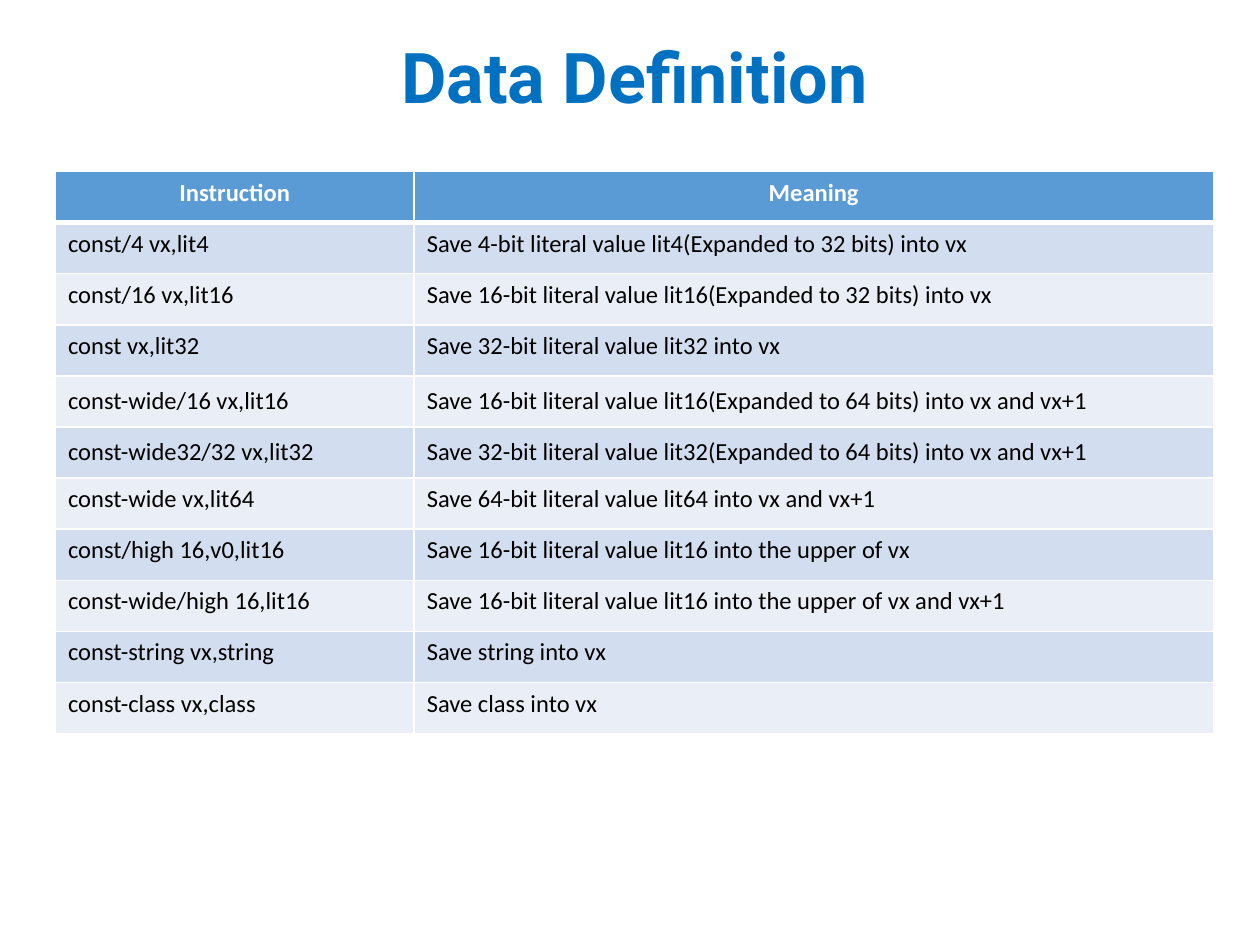
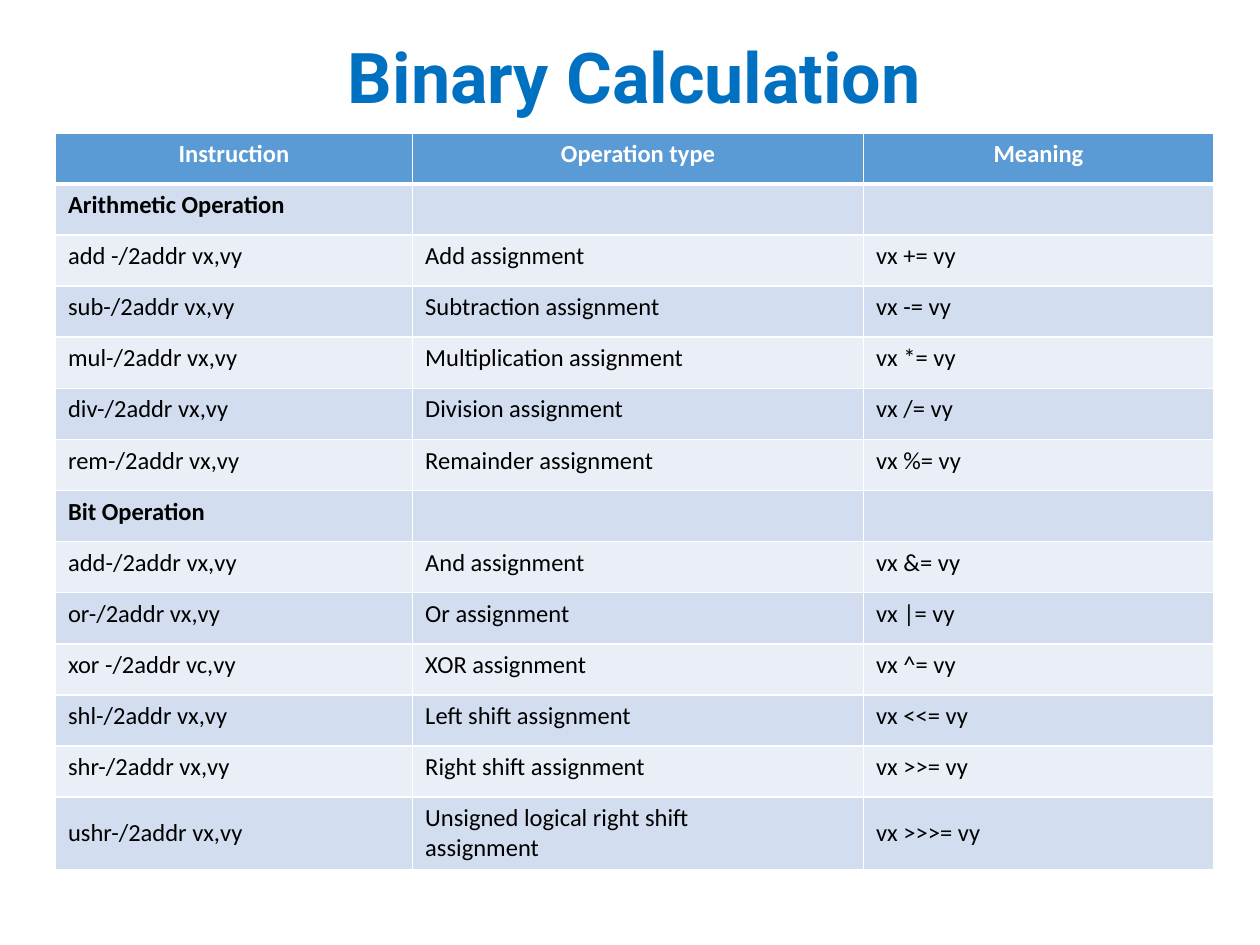
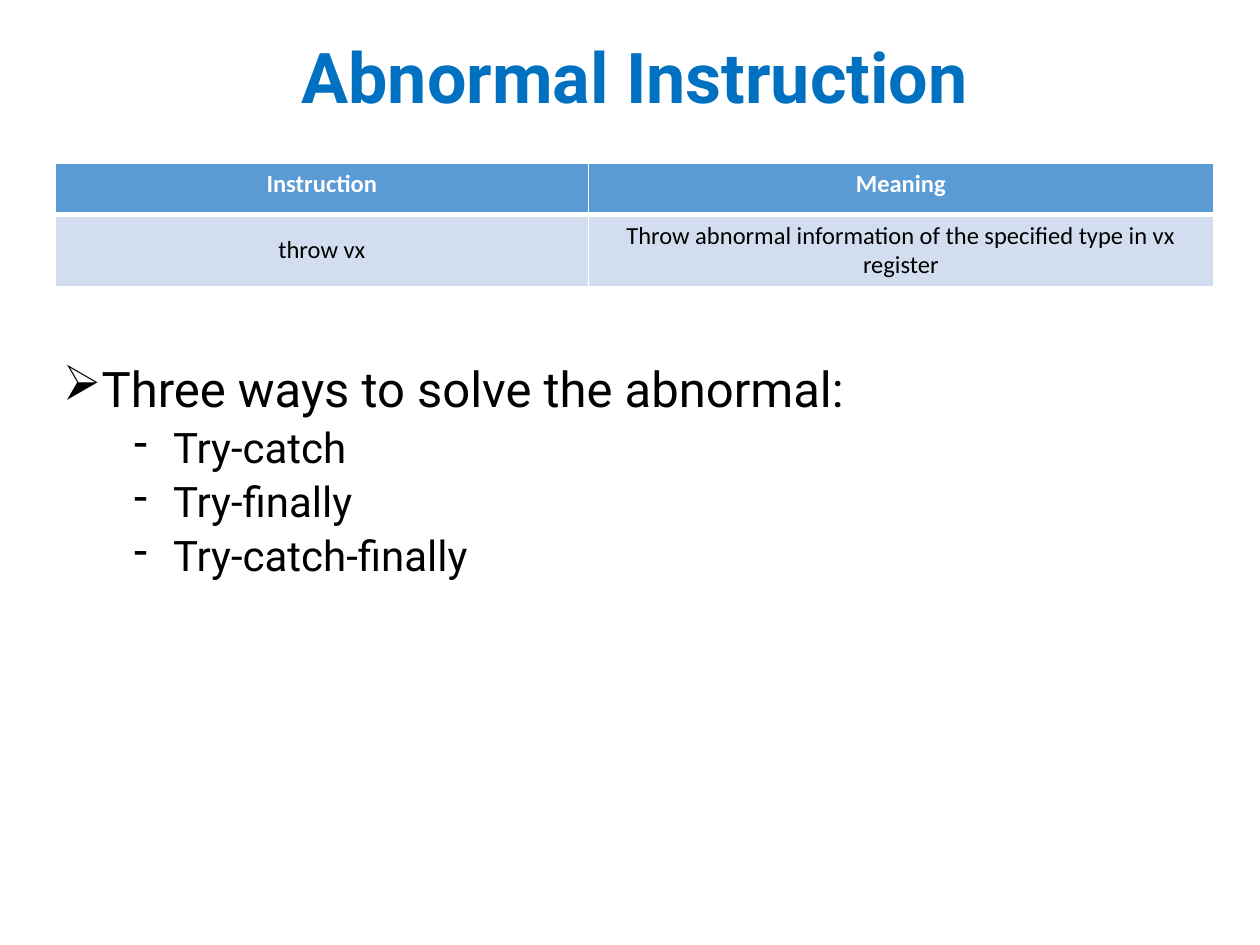
import dataclasses

import pptx
import pptx.dml.color
import pptx.enum.text
import pptx.oxml
import pptx.oxml.ns
import pptx.util

Pt = pptx.util.Pt
RGB = pptx.dml.color.RGBColor.from_string
ALIGN = pptx.enum.text.PP_ALIGN
ANCHOR = pptx.enum.text.MSO_ANCHOR


@dataclasses.dataclass(frozen=True)
class Theme:
    title_color: str = "0070C0"
    header_fill: str = "5B9BD5"
    band_fills: tuple = ("EAEFF7", "D2DEEF")
    light: str = "FFFFFF"
    dark: str = "000000"
    heading_font: str = "Roboto"
    table_font: str = "Calibri"
    title_size: int = 40
    table_size: int = 14
    bullet_size: int = 28
    sub_bullet_size: int = 24
    left: float = 31.7
    width: float = 661.7
    row_height: float = 29.2


theme = Theme()
deck = pptx.Presentation()
deck.slide_width, deck.slide_height = Pt(720), Pt(540)


def add_titled_slide(heading):
    slide = deck.slides.add_slide(deck.slide_layouts[5])
    title = slide.shapes.title
    title.left, title.top = Pt(theme.left), Pt(17.3)
    title.width, title.height = Pt(theme.width), Pt(58.3)
    frame = title.text_frame
    frame.auto_size = pptx.enum.text.MSO_AUTO_SIZE.NONE
    frame.vertical_anchor = ANCHOR.MIDDLE
    line = frame.paragraphs[0]
    line.alignment, line.line_spacing = ALIGN.CENTER, 0.9
    run = line.add_run()
    run.text = heading
    run.font.name, run.font.size = theme.heading_font, Pt(theme.title_size)
    run.font.bold = True
    run.font.color.rgb = RGB(theme.title_color)
    return slide


def add_instruction_table(slide, top, first_widths, rows, middle_rows=(),
                          section_rows=(), body_align=ALIGN.LEFT):
    widths = [*first_widths, theme.width - sum(first_widths)]
    table = slide.shapes.add_table(
        len(rows), len(widths), Pt(theme.left), Pt(top),
        Pt(theme.width), Pt(theme.row_height * len(rows))).table
    table.horz_banding = False
    for column, width in zip(table.columns, widths):
        column.width = Pt(width)
    for r, texts in enumerate(rows):
        table.rows[r].height = Pt(theme.row_height)
        header = r == 0
        # The rule under the header is thicker than the other borders
        borders = {"L": 1, "R": 1, "T": 3 if r == 1 else 1, "B": 3 if header else 1}
        for c, text in enumerate(texts):
            cell = table.cell(r, c)
            properties = cell._tc.get_or_add_tcPr()
            for side, points in borders.items():
                properties.append(pptx.oxml.parse_xml(
                    f'<a:ln{side} {pptx.oxml.ns.nsdecls("a")} w="{Pt(points)}"><a:solidFill>'
                    f'<a:srgbClr val="{theme.light}"/></a:solidFill></a:ln{side}>'))
            cell.fill.solid()
            cell.fill.fore_color.rgb = RGB(theme.header_fill if header else theme.band_fills[r % 2])
            if r in middle_rows:
                cell.vertical_anchor = ANCHOR.MIDDLE
            if not text:
                continue
            for i, part in enumerate(text.split("\n")):
                frame = cell.text_frame
                line = frame.add_paragraph() if i else frame.paragraphs[0]
                line.alignment = ALIGN.CENTER if header else body_align
                run = line.add_run()
                run.text = part
                run.font.name, run.font.size = theme.table_font, Pt(theme.table_size)
                run.font.bold = header or r in section_rows
                run.font.color.rgb = RGB(theme.light if header else theme.dark)


# Slide 1: data definition
data_slide = add_titled_slide("Data Definition")
add_instruction_table(data_slide, 98, [205], [
    ("Instruction", "Meaning"),
    ("const/4 vx,lit4", "Save 4-bit literal value lit4(Expanded to 32 bits) into vx"),
    ("const/16 vx,lit16", "Save 16-bit literal value lit16(Expanded to 32 bits) into vx"),
    ("const vx,lit32", "Save 32-bit literal value lit32 into vx"),
    ("const-wide/16 vx,lit16", "Save 16-bit literal value lit16(Expanded to 64 bits) into vx and vx+1"),
    ("const-wide32/32 vx,lit32", "Save 32-bit literal value lit32(Expanded to 64 bits) into vx and vx+1"),
    ("const-wide vx,lit64", "Save 64-bit literal value lit64 into vx and vx+1"),
    ("const/high 16,v0,lit16", "Save 16-bit literal value lit16 into the upper of vx"),
    ("const-wide/high 16,lit16", "Save 16-bit literal value lit16 into the upper of vx and vx+1"),
    ("const-string vx,string", "Save string into vx"),
    ("const-class vx,class", "Save class into vx"),
], middle_rows=(4, 5))

# Slide 2: binary calculation
binary_slide = add_titled_slide("Binary Calculation")
add_instruction_table(binary_slide, 75.9, [204.1, 257.7], [
    ("Instruction", "Operation type", "Meaning"),
    ("Arithmetic Operation", "", ""),
    ("add -/2addr vx,vy", "Add assignment", "vx += vy"),
    ("sub-/2addr vx,vy", "Subtraction assignment", "vx -= vy"),
    ("mul-/2addr vx,vy", "Multiplication assignment", "vx *= vy"),
    ("div-/2addr vx,vy", "Division assignment", "vx /= vy"),
    ("rem-/2addr vx,vy", "Remainder assignment", "vx %= vy"),
    ("Bit Operation", "", ""),
    ("add-/2addr vx,vy", "And assignment", "vx &= vy"),
    ("or-/2addr vx,vy", "Or assignment", "vx |= vy"),
    ("xor -/2addr vc,vy", "XOR assignment", "vx ^= vy"),
    ("shl-/2addr vx,vy", "Left shift assignment", "vx <<= vy"),
    ("shr-/2addr vx,vy", "Right shift assignment", "vx >>= vy"),
    ("ushr-/2addr vx,vy", "Unsigned logical right shift\nassignment", "vx >>>= vy"),
], middle_rows=(13,), section_rows=(1, 7))

# Slide 3: abnormal instruction
abnormal_slide = add_titled_slide("Abnormal Instruction")
add_instruction_table(abnormal_slide, 93.3, [304.5], [
    ("Instruction", "Meaning"),
    ("throw vx", "Throw abnormal information of the specified type in vx register"),
], middle_rows=(1,), body_align=ALIGN.CENTER)

# Ways to handle the exception
ways = abnormal_slide.shapes.add_textbox(Pt(28.8), Pt(205.2), Pt(theme.width), Pt(266.4)).text_frame
ways.word_wrap = True
for i, text in enumerate(["Three ways to solve the abnormal:", "Try-catch",
                          "Try-finally", "Try-catch-finally"]):
    line = ways.add_paragraph() if i else ways.paragraphs[0]
    margin, indent, bullet, size = ((63, -22.5, "-", theme.sub_bullet_size) if i
                                    else (18, -28, "➢", theme.bullet_size))
    properties = line._p.get_or_add_pPr()
    properties.set("marL", str(Pt(margin)))
    properties.set("indent", str(Pt(indent)))
    properties.append(pptx.oxml.parse_xml(
        f'<a:buChar {pptx.oxml.ns.nsdecls("a")} char="{bullet}"/>'))
    line.level = min(i, 1)
    line.line_spacing = 0.9
    line.space_before = Pt(5 if i else 0)
    run = line.add_run()
    run.text = text
    run.font.name, run.font.size = theme.heading_font, Pt(size)
    run.font.color.rgb = RGB(theme.dark)

deck.save("out.pptx")
